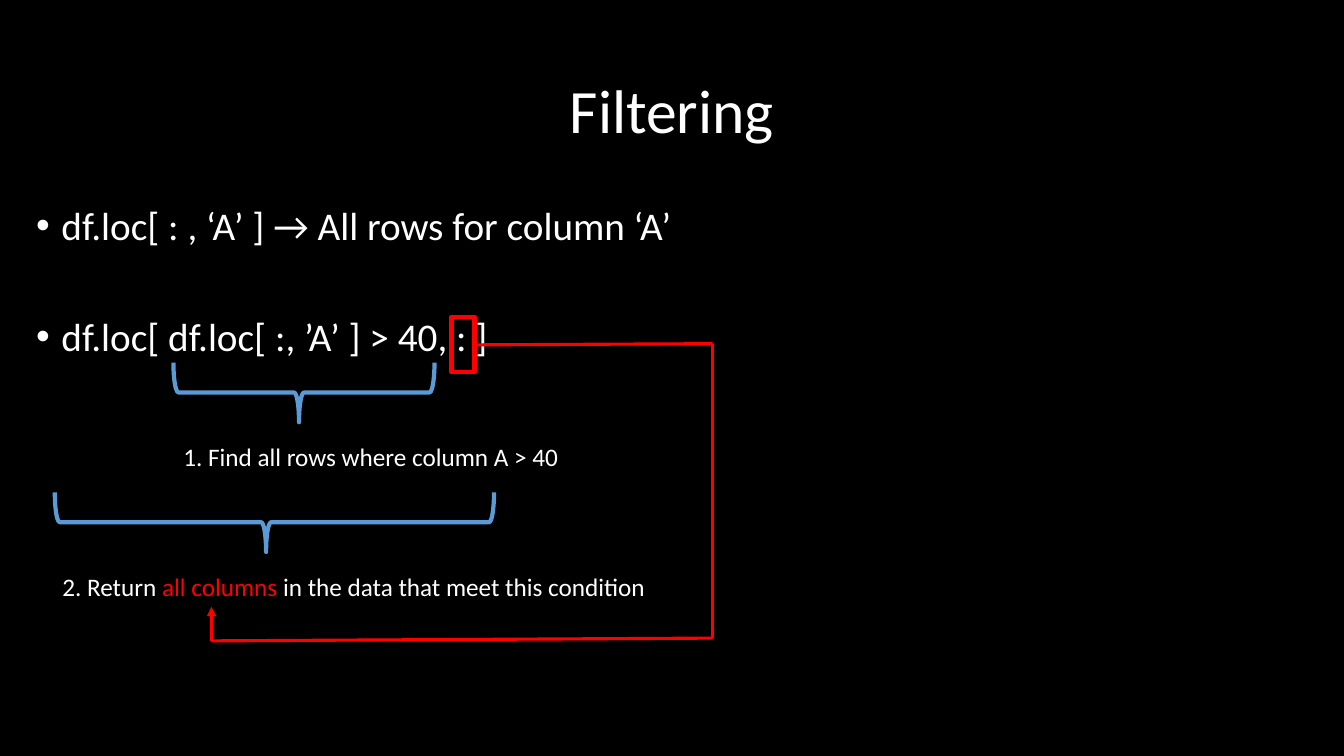
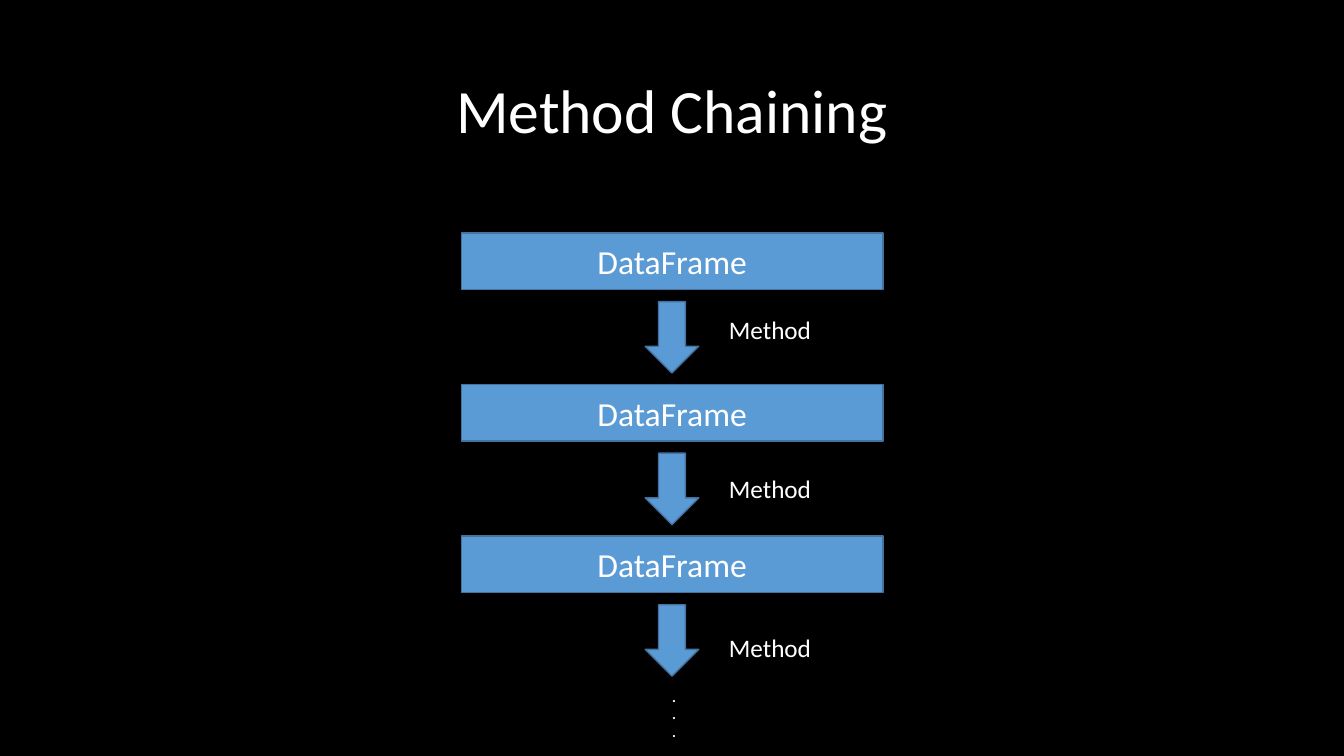
from dataclasses import dataclass
from itertools import pairwise

from lxml.etree import SubElement
from pptx import Presentation
from pptx.dml.color import RGBColor as RGB
from pptx.enum.shapes import MSO_CONNECTOR as Conn, MSO_SHAPE as Shape
from pptx.enum.text import MSO_ANCHOR as Anchor, PP_ALIGN as Align
from pptx.oxml.ns import qn
from pptx.util import Cm, Pt


@dataclass(frozen=True)
class Theme:
    font: str = "Calibri"
    back: RGB = RGB(0x00, 0x00, 0x00)
    text: RGB = RGB(0xFF, 0xFF, 0xFF)
    blue: RGB = RGB(0x5B, 0x9B, 0xD5)
    edge: RGB = RGB(0x43, 0x73, 0x9E)
    red: RGB = RGB(0xFF, 0x00, 0x00)
    title: float = 44
    body: float = 28
    box: float = 24
    note: float = 18
    dots: float = 10.5
    tight: float = 0.9
    thin: float = 1
    route: float = 2.25
    thick: float = 3


class Deck:
    def __init__(self, theme):
        self.theme = theme
        self.prs = Presentation()
        self.prs.slide_width, self.prs.slide_height = Cm(33.87), Cm(19.05)
        self.s = None

    def slide(self, title):
        self.s = self.prs.slides.add_slide(self.prs.slide_layouts[6])
        fill = self.s.background.fill
        fill.solid()
        fill.fore_color.rgb = self.theme.back
        tf = self.frame(2.33, 1.02, 29.21, 3.68)
        tf.vertical_anchor = Anchor.MIDDLE
        p = tf.paragraphs[0]
        p.alignment, p.line_spacing = Align.CENTER, self.theme.tight
        self.run(p, title, self.theme.title)

    def frame(self, x, y, w, h, wrap=True):
        tf = self.s.shapes.add_textbox(Cm(x), Cm(y), Cm(w), Cm(h)).text_frame
        tf.word_wrap = wrap
        return tf

    def run(self, p, text, size, color=None, bold=None):
        r = p.add_run()
        r.text = text
        r.font.name, r.font.size, r.font.bold = self.theme.font, Pt(size), bold
        r.font.color.rgb = color or self.theme.text

    def bullets(self, x, y, w, h, items, gap):
        tf = self.frame(x, y, w, h)
        for i, item in enumerate(items):
            p = tf.add_paragraph() if i else tf.paragraphs[0]
            p.line_spacing = self.theme.tight
            p.space_before = Pt(gap if i else 0)
            pPr = p._p.get_or_add_pPr()
            pPr.set("marL", str(Cm(0.64)))
            pPr.set("indent", str(-Cm(0.64)))
            SubElement(pPr, qn("a:buFont"), typeface="Arial")
            SubElement(pPr, qn("a:buChar"), char="•")
            self.run(p, item, self.theme.body)

    def note(self, x, y, w, *parts, wrap=True):
        """One line of small text; each part is (text, color or None)."""
        p = self.frame(x, y, w, 1.02, wrap).paragraphs[0]
        for text, color in parts:
            self.run(p, text, self.theme.note, color)

    def dots(self, x, y, w, h, count):
        tf = self.frame(x, y, w, h, wrap=False)
        for i in range(count):
            p = tf.add_paragraph() if i else tf.paragraphs[0]
            self.run(p, ".", self.theme.dots, bold=True)

    def shape(self, kind, x, y, w, h, line, width, fill=None):
        sp = self.s.shapes.add_shape(kind, Cm(x), Cm(y), Cm(w), Cm(h))
        sp.shadow.inherit = False
        if fill is None:
            sp.fill.background()
        else:
            sp.fill.solid()
            sp.fill.fore_color.rgb = fill
        sp.line.color.rgb, sp.line.width = line, Pt(width)
        return sp

    def block(self, kind, x, y, w, h, text=None):
        t = self.theme
        sp = self.shape(kind, x, y, w, h, t.edge, t.thin, t.blue)
        if text:
            tf = sp.text_frame
            tf.vertical_anchor = Anchor.MIDDLE
            p = tf.paragraphs[0]
            p.alignment = Align.CENTER
            self.run(p, text, t.box)

    def under_brace(self, x, y, w, h=1.5):
        """Brace that points down; x, y, w and h are as seen after its turn."""
        sp = self.shape(Shape.RIGHT_BRACE, x + (w - h) / 2, y + (h - w) / 2,
                        h, w, self.theme.blue, self.theme.thick)
        sp.rotation = 90
        sp.adjustments[0], sp.adjustments[1] = 0.083, 0.519

    def arrow_route(self, *points):
        """Straight lines from point to point, with an arrowhead at the end."""
        for start, end in pairwise(points):
            ends = [Cm(v) for v in start + end]
            c = self.s.shapes.add_connector(Conn.STRAIGHT, *ends)
            c.line.color.rgb = self.theme.red
            c.line.width = Pt(self.theme.route)
            SubElement(c._element.spPr, qn("a:effectLst"))
        SubElement(c.line._get_or_add_ln(), qn("a:tailEnd"), type="triangle")


def filtering(deck):
    red = deck.theme.red
    deck.slide("Filtering")
    deck.bullets(0.66, 5.08, 33.2, 12.09,
                 ["df.loc[ : , ‘A’ ] → All rows for column ‘A’",
                  "df.loc[ df.loc[ :, ’A’ ] > 40, : ]"], gap=49)
    deck.under_brace(4.37, 9.14, 6.58)
    deck.note(4.37, 11, 11.61, ("1. Find all rows where column A > 40", None))
    deck.under_brace(1.38, 12.41, 11.07)
    deck.note(1.32, 14.27, 15.44, ("2. Return ", None), ("all columns ", red),
              ("in the data that meet this condition", None))
    deck.shape(Shape.RECTANGLE, 11.38, 7.98, 0.58, 1.4, red, deck.theme.thick)
    deck.arrow_route((11.96, 8.69), (17.96, 8.66), (17.96, 16.08),
                     (5.33, 16.15), (5.33, 15.29))


def method_chaining(deck):
    deck.slide("Method Chaining")
    for i in range(3):
        y = 5.87 + 3.82 * i
        deck.block(Shape.RECTANGLE, 11.63, y, 10.62, 1.42, "DataFrame")
        deck.block(Shape.DOWN_ARROW, 16.26, y + 1.73, 1.35, 1.8)
        deck.note(18.12, 7.8 + 4.01 * i, 2.62, ("Method", None), wrap=False)
    deck.dots(16.69, 17.2, 0.61, 1.6, 3)


def main():
    deck = Deck(Theme())
    filtering(deck)
    method_chaining(deck)
    deck.prs.save("out.pptx")


if __name__ == "__main__":
    main()
